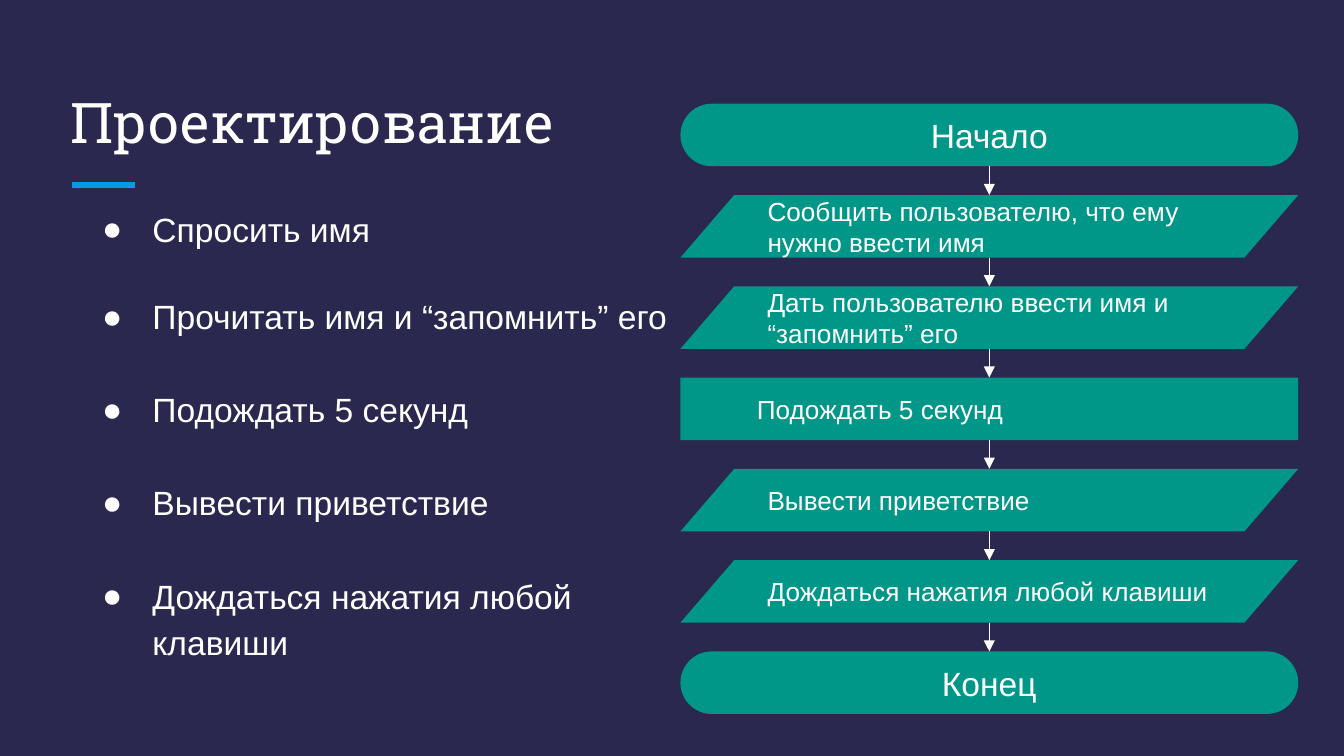
from lxml.etree import SubElement
from pptx import Presentation
from pptx.dml.color import RGBColor
from pptx.enum.shapes import MSO_CONNECTOR, MSO_SHAPE as Shape
from pptx.enum.text import MSO_ANCHOR as Anchor, PP_ALIGN as Align
from pptx.oxml.ns import qn
from pptx.util import Pt

WHITE, TEAL, BLUE, NAVY = "FFFFFF", "009688", "039BE5", "2A284F"


def style_text(frame, size, font="Arial", align=Align.LEFT, anchor=Anchor.MIDDLE):
    frame.word_wrap = True
    frame.vertical_anchor = anchor
    frame.margin_left = frame.margin_right = Pt(7.2)
    frame.margin_top = frame.margin_bottom = Pt(7.2)
    for paragraph in frame.paragraphs:
        paragraph.alignment = align
        for run in paragraph.runs:
            run.font.size = Pt(size)
            run.font.name = font
            run.font.color.rgb = RGBColor.from_string(WHITE)


def add_line(x1, y1, x2, y2, color, width):
    line = slide.shapes.add_connector(MSO_CONNECTOR.STRAIGHT, Pt(x1), Pt(y1), Pt(x2), Pt(y2))
    line.line.color.rgb = RGBColor.from_string(color)
    line.line.width = Pt(width)
    SubElement(line._element.spPr, qn("a:effectLst"))
    return line


prs = Presentation()
prs.slide_width, prs.slide_height = Pt(720), Pt(405)
slide = prs.slides.add_slide(prs.slide_layouts[5])
slide.background.fill.solid()
slide.background.fill.fore_color.rgb = RGBColor.from_string(NAVY)

add_line(38.6, 99, 72.3, 99, BLUE, 3)

title = slide.shapes.title
title.left, title.top, title.width, title.height = Pt(30.5), Pt(36), Pt(307), Pt(54)
title.text_frame.text = "Проектирование"
style_text(title.text_frame, 30, "Roboto Slab", anchor=Anchor.BOTTOM)

plan = slide.shapes.add_textbox(Pt(38.6), Pt(101.5), Pt(339), Pt(269.5)).text_frame
plan.text = "\n".join([
    "Спросить имя",
    "Прочитать имя и “запомнить” его",
    "Подождать 5 секунд",
    "Вывести приветствие",
    "Дождаться нажатия любой клавиши",
])
style_text(plan, 18, anchor=Anchor.TOP)
for item, gap in zip(plan.paragraphs, [22, 25, 25, 25, 0]):
    item.line_spacing = 1.15
    item.space_after = Pt(gap)
    props = item._p.get_or_add_pPr()
    props.set("marL", str(Pt(36)))
    props.set("indent", str(Pt(-27)))
    bullet_color = SubElement(props, qn("a:buClr"))
    SubElement(bullet_color, qn("a:srgbClr"), val=WHITE)
    SubElement(props, qn("a:buFont"), typeface="Arial")
    SubElement(props, qn("a:buChar"), char="●")

steps = [
    (Shape.ROUNDED_RECTANGLE, "Начало"),
    (Shape.PARALLELOGRAM, "Сообщить пользователю, что ему нужно ввести имя"),
    (Shape.PARALLELOGRAM, "Дать пользователю ввести имя и “запомнить” его"),
    (Shape.RECTANGLE, "Подождать 5 секунд"),
    (Shape.PARALLELOGRAM, "Вывести приветствие"),
    (Shape.PARALLELOGRAM, "Дождаться нажатия любой клавиши"),
    (Shape.ROUNDED_RECTANGLE, "Конец"),
]
left, top, width, height, pitch = 364.5, 55.6, 331, 33.5, 48.9
center = left + width / 2

for index, (kind, words) in enumerate(steps):
    y = top + index * pitch
    step = slide.shapes.add_shape(kind, Pt(left), Pt(y), Pt(width), Pt(height))
    step.shadow.inherit = False
    step.fill.solid()
    step.fill.fore_color.rgb = RGBColor.from_string(TEAL)
    step.line.fill.background()
    step.text_frame.text = words
    if kind == Shape.ROUNDED_RECTANGLE:
        step.adjustments[0] = 0.5
        style_text(step.text_frame, 18, align=Align.CENTER)
    else:
        style_text(step.text_frame, 14)
    if kind == Shape.PARALLELOGRAM:
        step.adjustments[0] = 0.86
    elif kind == Shape.RECTANGLE:
        step.text_frame.margin_left = Pt(41)

for index in range(len(steps) - 1):
    y = top + index * pitch
    arrow = add_line(center, y + height, center, y + pitch, WHITE, 0.75)
    SubElement(arrow.line._get_or_add_ln(), qn("a:tailEnd"), type="triangle", w="med", len="med")

prs.save("out.pptx")
